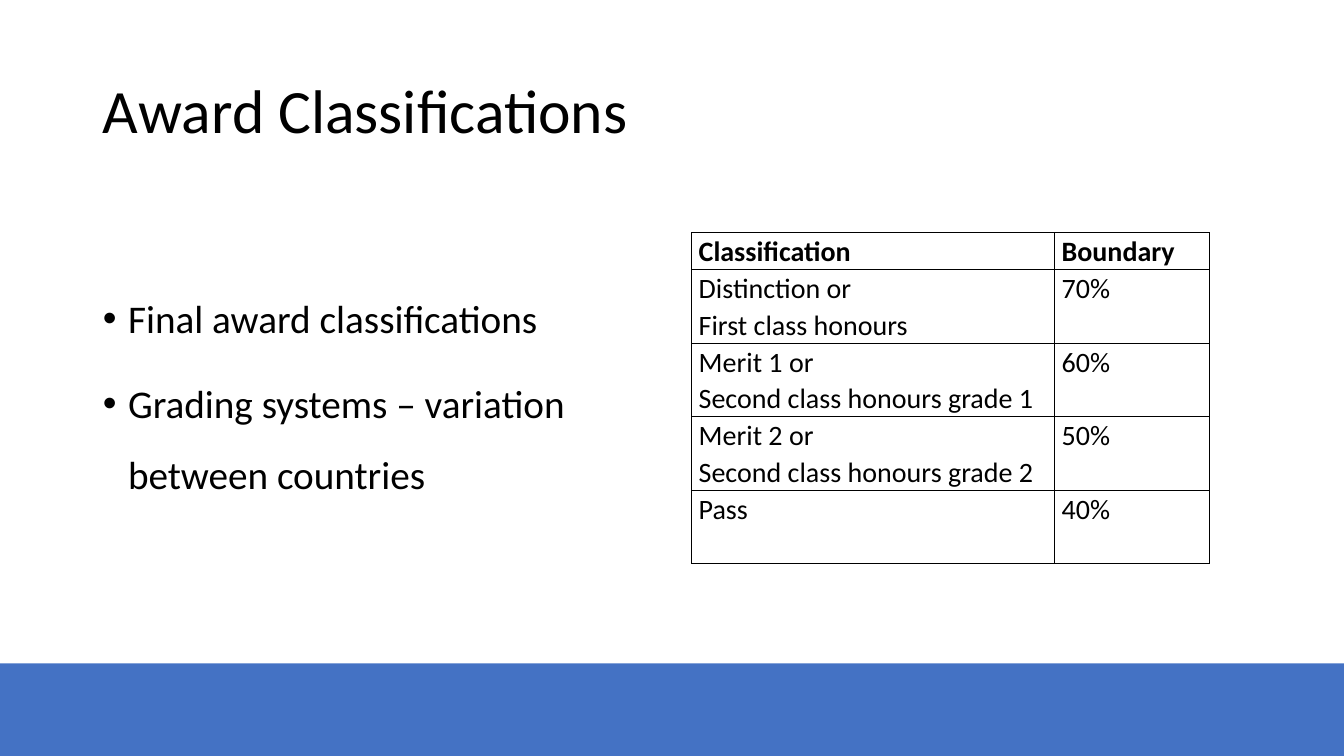
from lxml import etree
from pptx import Presentation
from pptx.dml.color import RGBColor
from pptx.enum.shapes import MSO_SHAPE
from pptx.enum.text import MSO_ANCHOR, MSO_AUTO_SIZE, PP_ALIGN
from pptx.oxml.ns import qn
from pptx.util import Inches, Pt

BLACK = RGBColor(0x00, 0x00, 0x00)
BLUE = RGBColor(0x44, 0x72, 0xC4)
RECT = MSO_SHAPE.RECTANGLE
MIDDLE, TOP = MSO_ANCHOR.MIDDLE, MSO_ANCHOR.TOP
NO_FIT = MSO_AUTO_SIZE.NONE
LEFT = PP_ALIGN.LEFT

BULLETS = ["Final award classifications",
           "Grading systems – variation between countries"]
AWARDS = [("Classification", "Boundary"),
          ("Distinction or\nFirst class honours", "70%"),
          ("Merit 1 or\nSecond class honours grade 1", "60%"),
          ("Merit 2 or\nSecond class honours grade 2", "50%"),
          ("Pass", "40%")]


class SlideBuilder:
    """Holds the text style and the current slide."""

    font = "Calibri"

    def __init__(self, slide):
        self.slide = slide

    def format(self, p, size, spacing, bold=False):
        p.alignment = LEFT
        p.line_spacing = spacing
        for r in p.runs:
            r.font.name, r.font.size, r.font.bold = self.font, Pt(size), bold
            r.font.color.rgb = BLACK

    def place(self, sp, left, top, width, height):
        sp.left, sp.top = Inches(left), Inches(top)
        sp.width, sp.height = Inches(width), Inches(height)
        tf = sp.text_frame
        tf.word_wrap, tf.auto_size, tf.vertical_anchor = True, NO_FIT, MIDDLE
        return tf

    def band(self, top, width, height):
        sp = self.slide.shapes.add_shape(RECT, 0, Inches(top), Inches(width), Inches(height))
        sp.shadow.inherit = False
        sp.fill.solid()
        sp.fill.fore_color.rgb = BLUE
        sp.line.fill.background()

    def title(self, text, *box):
        tf = self.place(self.slide.shapes.title, *box)
        tf.text = text
        self.format(tf.paragraphs[0], 44, 0.9)

    def bullets(self, items, *box):
        tf = self.place(self.slide.placeholders[1], *box)
        tf.text = "\n".join(items)
        for i, p in enumerate(tf.paragraphs):
            pPr = p._p.get_or_add_pPr()
            pPr.set("marL", str(Inches(0.25)))
            pPr.set("indent", str(-Inches(0.25)))
            etree.SubElement(pPr, qn("a:buFont"), typeface="Arial")
            etree.SubElement(pPr, qn("a:buChar"), char="•")
            self.format(p, 28, 1.5)
            p.space_before = Pt(10 if i else 0)

    def borders(self, cell):
        tcPr = cell._tc.get_or_add_tcPr()
        for side in ("a:lnL", "a:lnR", "a:lnT", "a:lnB"):
            ln = etree.SubElement(tcPr, qn(side), w=str(Pt(1)))
            fill = etree.SubElement(ln, qn("a:solidFill"))
            etree.SubElement(fill, qn("a:srgbClr"), val=str(BLACK))

    def table(self, rows, left, top, widths, heights):
        frame = self.slide.shapes.add_table(
            len(rows), len(widths), Inches(left), Inches(top),
            Inches(sum(widths)), Inches(sum(heights)))
        table = frame.table
        table.horz_banding = table.first_row = False
        for column, width in zip(table.columns, widths):
            column.width = Inches(width)
        for i, (row, height) in enumerate(zip(table.rows, heights)):
            row.height = Inches(height)
            for cell, text in zip(row.cells, rows[i]):
                cell.margin_left = cell.margin_right = Inches(0.07)
                cell.margin_top = cell.margin_bottom = 0
                cell.vertical_anchor = TOP
                self.borders(cell)
                cell.fill.background()
                cell.text_frame.text = text
                for p in cell.text_frame.paragraphs:
                    self.format(p, 20, 1.07, bold=i == 0)


def main():
    prs = Presentation()
    prs.slide_width, prs.slide_height = Inches(13.33), Inches(7.5)
    s = SlideBuilder(prs.slides.add_slide(prs.slide_layouts[1]))

    # Footer band
    s.band(6.58, 13.33, 0.92)

    # Title and list
    s.title("Award Classifications", 0.92, 0.4, 11.5, 1.45)
    s.bullets(BULLETS, 0.92, 2, 4.84, 3.62)

    # Classification boundaries
    s.table(AWARDS, 6.86, 2.31, [3.6, 1.54], [0.36] + [0.73] * 4)

    prs.save("out.pptx")


if __name__ == "__main__":
    main()
